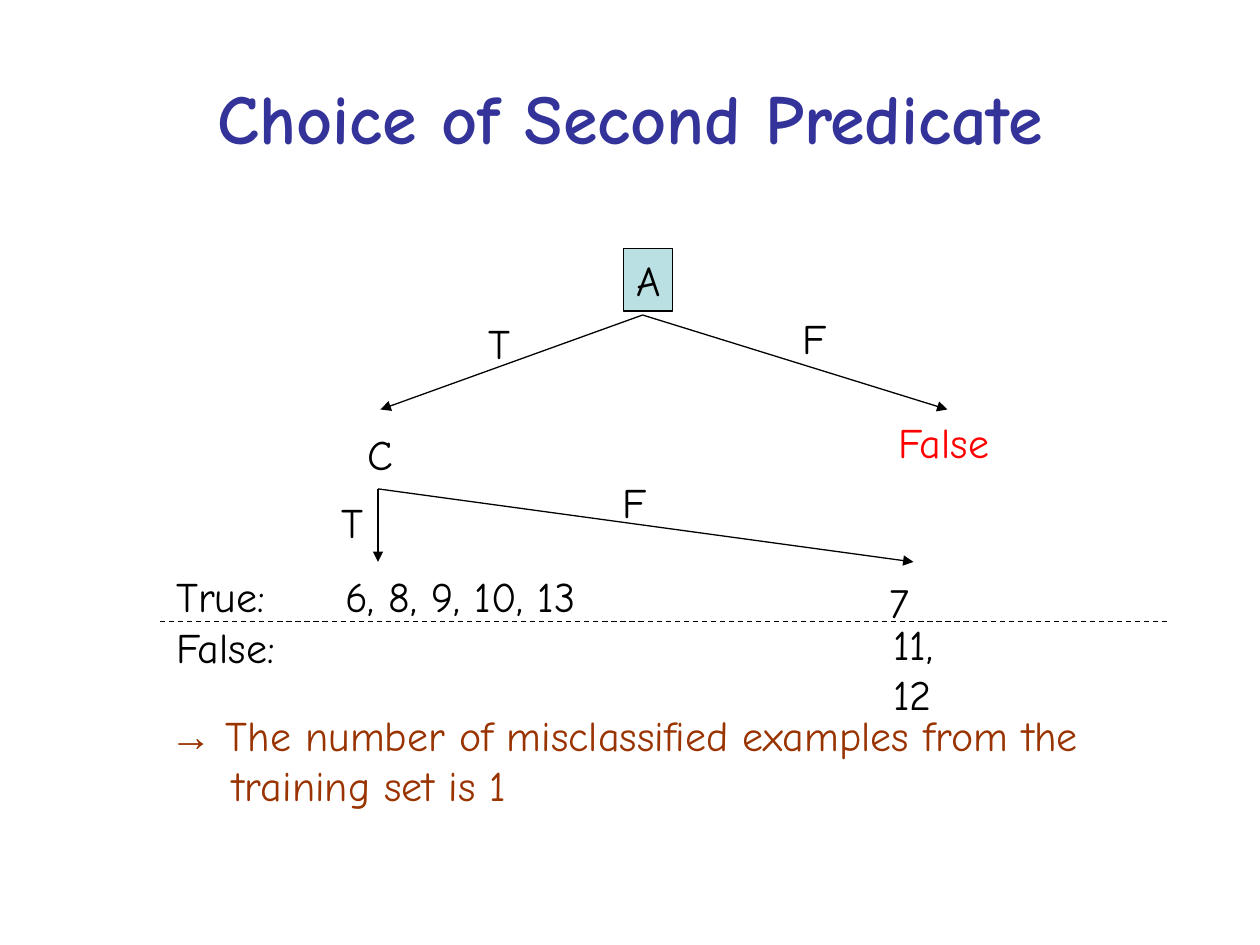
from pptx import Presentation
from pptx.dml.color import RGBColor
from pptx.enum.dml import MSO_LINE
from pptx.enum.shapes import MSO_CONNECTOR, MSO_SHAPE
from pptx.enum.text import MSO_ANCHOR, MSO_AUTO_SIZE, PP_ALIGN
from pptx.oxml.ns import qn
from pptx.util import Inches, Pt
from lxml import etree

RECT, LINE = MSO_SHAPE.RECTANGLE, MSO_CONNECTOR.STRAIGHT
DASH, GROW = MSO_LINE.DASH, MSO_AUTO_SIZE.SHAPE_TO_FIT_TEXT
TOP, MIDDLE = MSO_ANCHOR.TOP, MSO_ANCHOR.MIDDLE
LEFT, CENTER = PP_ALIGN.LEFT, PP_ALIGN.CENTER

COLORS = {"title": "333399", "ink": "000000", "node": "BBE0E3",
          "leaf": "FF0000", "note": "993300"}
HEX = {name: RGBColor.from_string(code) for name, code in COLORS.items()}
FONT = "Comic Neue"

deck = Presentation()
deck.slide_width, deck.slide_height = Inches(10), Inches(7.5)
COL = deck.slide_width / 100
ROW = deck.slide_height / 75
slide = deck.slides.add_slide(deck.slide_layouts[5])


def place(col, row, wide, high):
    """Turn grid columns and rows into slide lengths."""
    return [round(n) for n in (col * COL, row * ROW, wide * COL, high * ROW)]


def write(para, text, color, size=24, font=FONT):
    run = para.add_run()
    run.text = text
    run.font.name, run.font.size = font, Pt(size)
    run.font.color.rgb = HEX[color]
    return run


# Title
title = slide.shapes.title
title.left, title.top, title.width, title.height = place(5, 3, 90, 12.5)
title.text_frame.vertical_anchor = MIDDLE
head = title.text_frame.paragraphs[0]
head.alignment = CENTER
write(head, "Choice of Second Predicate", "title", 40).font.bold = True

# Root node
root = slide.shapes.add_shape(RECT, *place(49.5, 19.7, 3.9, 5))
root.shadow.inherit = False
root.fill.solid()
root.fill.fore_color.rgb = HEX["node"]
root.line.color.rgb = HEX["ink"]
root.line.width = Pt(0.75)
frame = root.text_frame
frame.word_wrap, frame.auto_size, frame.vertical_anchor = False, GROW, TOP
frame.paragraphs[0].alignment = LEFT
write(frame.paragraphs[0], "A", "ink")

# Branches of the tree, then the rule between the two classes
fork, split = (51, 25), (30, 38.8)
edges = [
    (fork, (30.2, 32.5), True),
    (fork, (75.2, 32.5), True),
    (split, (72.5, 44.6), True),
    (split, (30, 44.6), True),
    ((12.7, 49.3), (92.7, 49.3), False),
]
for start, end, arrow in edges:
    edge = slide.shapes.add_connector(LINE, *place(*start, *end))
    edge.line.color.rgb = HEX["ink"]
    edge.line.width = Pt(0.75)
    props = edge._element.spPr
    if arrow:
        etree.SubElement(edge.line._get_or_add_ln(), qn("a:tailEnd"), type="triangle")
    else:
        edge.line.dash_style = DASH
    etree.SubElement(props, qn("a:effectLst"))

# Labels: lines of text, column, row, width, height, color
labels = [
    (["T"], 37.8, 24.7, 3.7, 5, "ink"),
    (["F"], 62.7, 24.3, 3.9, 5, "ink"),
    (["C"], 28.2, 33.5, 4, 5, "ink"),
    (["T"], 26.1, 38.9, 3.7, 5, "ink"),
    (["F"], 48.4, 37.3, 3.9, 5, "ink"),
    (["False"], 70.3, 32.6, 9.4, 5, "leaf"),
    (["True:", "False:"], 13, 44.8, 10, 9, "ink"),
    (["6, 8, 9, 10, 13"], 26.4, 44.8, 20.3, 9, "ink"),
    (["11, 12"], 69.9, 48.6, 9.3, 5, "ink"),
    (["7"], 69.6, 45.3, 3.6, 5, "ink"),
]
for lines, col, row, wide, high, color in labels:
    frame = slide.shapes.add_textbox(*place(col, row, wide, high)).text_frame
    frame.word_wrap, frame.auto_size = False, GROW
    for i, line in enumerate(lines):
        para = frame.add_paragraph() if i else frame.paragraphs[0]
        write(para, line, color)

# Conclusion, with its second line indented
frame = slide.shapes.add_textbox(*place(12.5, 55.8, 80.8, 9)).text_frame
frame.word_wrap, frame.auto_size = True, GROW
para = frame.paragraphs[0]
props = para._p.get_or_add_pPr()
props.set("marL", str(Inches(0.5)))
props.set("indent", str(-Inches(0.5)))
write(para, "→", "note", font="Arial")
write(para, " The number of misclassified examples from the training set is 1", "note")

deck.save("out.pptx")
